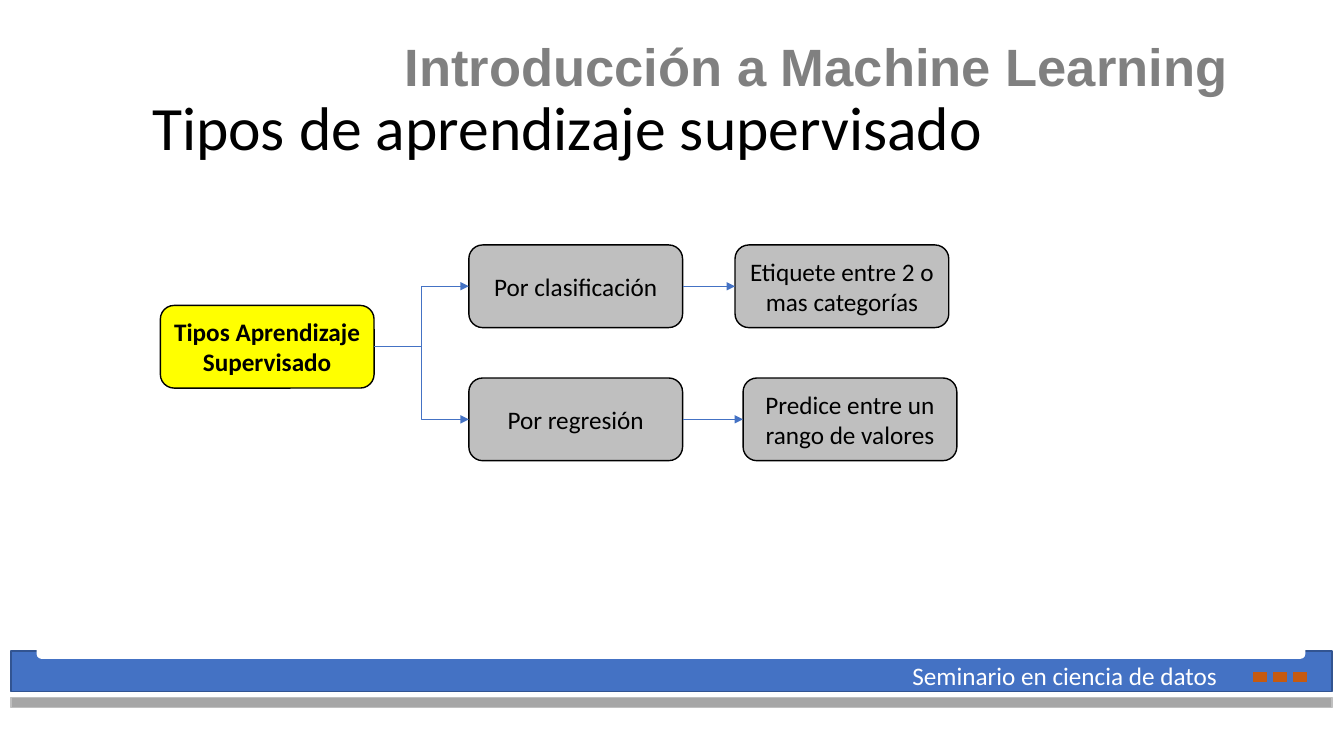
from lxml import etree
from pptx import Presentation
from pptx.dml.color import RGBColor
from pptx.enum.shapes import MSO_CONNECTOR as CONN, MSO_SHAPE as SHAPE
from pptx.enum.text import MSO_ANCHOR as ANCHOR, PP_ALIGN as ALIGN
from pptx.oxml.ns import qn
from pptx.util import Inches, Pt

# Content
HEADER = "Introducción a Machine Learning "
TITLE = "Tipos de aprendizaje supervisado"
FOOTER = "Seminario en ciencia de datos"
ROOT = "Tipos Aprendizaje Supervisado"
BRANCHES = [  # kind, its result, left edge of the result
    ("Por clasificación", "Etiquete entre 2 o mas categorías", 7.29),
    ("Por regresión", "Predice entre un rango de valores", 7.37),
]

# Format
COLORS = {
    "blue": "4472C4", "navy": "325491", "white": "FFFFFF", "black": "000000",
    "gray": "A6A6A6", "silver": "BFBFBF", "header": "808080",
    "orange": "C55A11", "yellow": "FFFF00",
}
BODY = {"name": "Calibri", "size": Pt(18)}
BOX_W, BOX_H, BOX_PAD = 2.12, 0.82, 0.08
ROOT_X, ROOT_Y, KIND_X = 1.59, 3.03, 4.65
ROW_Y, ROW_STEP = 2.43, 1.32
BAR_X, BAR_W = 0.11, 13.1
DOT_X, DOT_STEP = 12.43, 0.2


def rgb(name):
    return RGBColor.from_string(COLORS[name])


def write(sp, text, color, font, align=ALIGN.LEFT, anchor=ANCHOR.TOP, spacing=1.0):
    tf = sp.text_frame
    tf.word_wrap = True
    tf.vertical_anchor = anchor
    p = tf.paragraphs[0]
    p.alignment = align
    p.line_spacing = spacing
    r = p.add_run()
    r.text = text
    for key, value in font.items():
        setattr(r.font, key, value)
    r.font.color.rgb = rgb(color)


def add_text(at, *args, **kwargs):
    sp = slide.shapes.add_textbox(*map(Inches, at))
    write(sp, *args, **kwargs)
    return sp


def add_block(kind, at, fill, line):
    sp = slide.shapes.add_shape(kind, *map(Inches, at))
    sp.shadow.inherit = False
    sp.fill.solid()
    sp.fill.fore_color.rgb = rgb(fill)
    sp.line.color.rgb = rgb(line)
    sp.line.width = Pt(1)
    return sp


def add_node(text, x, y, fill="silver", bold=False):
    sp = add_block(SHAPE.ROUNDED_RECTANGLE, (x, y, BOX_W, BOX_H), fill, "black")
    write(sp, text, "black", {**BODY, "bold": bold}, ALIGN.CENTER, ANCHOR.MIDDLE)
    sp.text_frame.margin_left = sp.text_frame.margin_right = Inches(BOX_PAD)
    return sp


def add_arrow(start, end):
    c = slide.shapes.add_connector(CONN.ELBOW, 0, 0, 0, 0)
    c.begin_connect(start, 3)
    c.end_connect(end, 1)
    c.line.color.rgb = rgb("blue")
    c.line.width = Pt(0.5)
    props = c._element.spPr
    etree.SubElement(props.find(qn("a:ln")), qn("a:tailEnd"), type="triangle")
    etree.SubElement(props, qn("a:effectLst"))


prs = Presentation()
prs.slide_width, prs.slide_height = Inches(13.33), Inches(7.5)
slide = prs.slides.add_slide(prs.slide_layouts[6])

# Header
add_text((1.43, 0.4, 11, 0.6), HEADER, "header",
         {"name": "Arial", "size": Pt(37.5), "bold": True},
         ALIGN.RIGHT, ANCHOR.BOTTOM, 0.7)

# Footer bars, dots and text
add_block(SHAPE.RECTANGLE, (BAR_X, 6.46, BAR_W, 0.4), "blue", "navy")
add_block(SHAPE.ROUNDED_RECTANGLE, (0.37, 6.27, 12.57, 0.26), "white", "white")
add_block(SHAPE.RECTANGLE, (BAR_X, 6.92, BAR_W, 0.1), "gray", "silver")
for i in range(3):
    add_block(SHAPE.RECTANGLE, (DOT_X + i * DOT_STEP, 6.67, 0.13, 0.09),
              "orange", "orange")
add_text((8.95, 6.5, 3.45, 0.4), FOOTER, "white", BODY)

# Title
title = add_text((1.41, 0.97, 10.09, 0.76), TITLE, "black",
                 {"name": "Calibri", "size": Pt(44)}, spacing=0.9)
title.text_frame.margin_top = 0
title.text_frame.margin_bottom = Inches(0.1)

# Tree
root = add_node(ROOT, ROOT_X, ROOT_Y, "yellow", True)
for i, (kind, result, result_x) in enumerate(BRANCHES):
    y = ROW_Y + i * ROW_STEP
    kind_box = add_node(kind, KIND_X, y)
    result_box = add_node(result, result_x, y)
    add_arrow(root, kind_box)
    add_arrow(kind_box, result_box)

prs.save("out.pptx")
